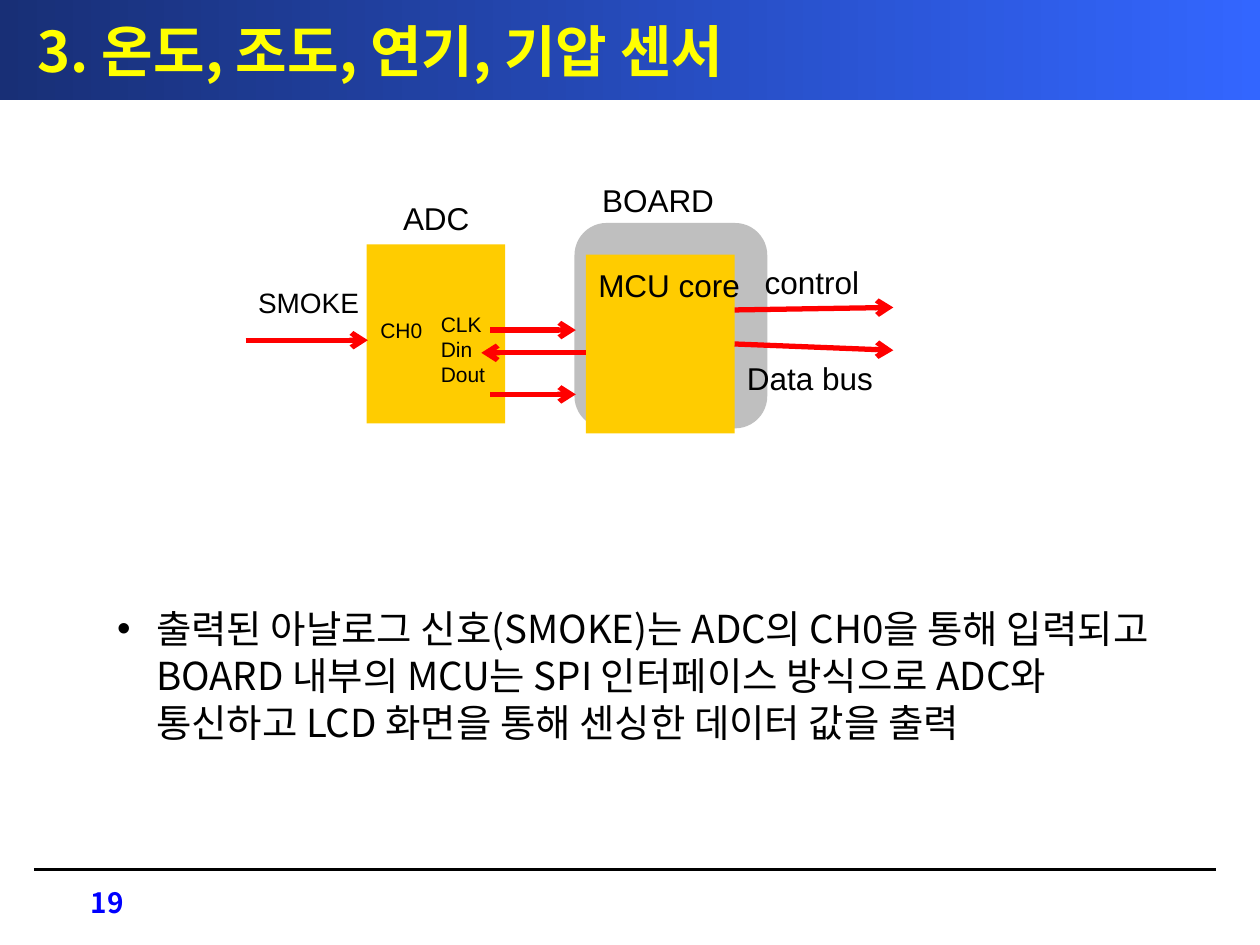
from lxml import etree
from pptx import Presentation
from pptx.dml.color import RGBColor
from pptx.enum.shapes import MSO_CONNECTOR, MSO_SHAPE
from pptx.enum.text import MSO_ANCHOR, MSO_AUTO_SIZE, PP_ALIGN
from pptx.oxml.ns import qn
from pptx.util import Inches, Pt

STRAIGHT = MSO_CONNECTOR.STRAIGHT
RECT, ROUNDED = MSO_SHAPE.RECTANGLE, MSO_SHAPE.ROUNDED_RECTANGLE
LEFT, RIGHT = PP_ALIGN.LEFT, PP_ALIGN.RIGHT
LATIN, KOREAN = "Arial", "Noto Sans CJK KR"
COLORS = {
    "navy": "182F76", "blue": "3366FF", "title": "FFFF00", "number": "0000FF",
    "board": "BFBFBF", "chip": "FFCC00", "signal": "FF0000", "text": "000000",
}

# Content
TITLE = "3. 온도, 조도, 연기, 기압 센서"
BODY = ("출력된 아날로그 신호(SMOKE)는 ADC의 CH0을 통해 입력되고 BOARD 내부의 MCU는 "
        "SPI 인터페이스 방식으로 ADC와 통신하고 LCD 화면을 통해 센싱한 데이터 값을 출력")
PAGE_NUMBER = "19"
BLOCKS = {  # name: (shape, colour, left, top, width, height)
    "board": (ROUNDED, "board", 4.56, 1.77, 1.53, 1.63),
    "mcu": (RECT, "chip", 4.65, 2.02, 1.18, 1.42),
    "adc": (RECT, "chip", 2.91, 1.94, 1.1, 1.42),
}
SIGNALS = [  # (from x, from y, to x, to y)
    (1.95, 2.7, 2.92, 2.7),    # smoke input
    (3.89, 2.62, 4.57, 2.62),  # clock
    (4.65, 2.8, 3.82, 2.8),    # data in
    (3.89, 3.13, 4.57, 3.13),  # data out
    (5.83, 2.46, 7.09, 2.44),  # control
]
DATA_BUS = (5.83, 2.73, 7.09, 2.78)
LABELS = [  # (text, size, left, top, width, height)
    ("SMOKE", 16, 1.95, 2.22, 1.15, 0.37),
    ("ADC", 18, 3.1, 1.53, 0.79, 0.4),
    ("CH0", 12, 2.92, 2.47, 0.79, 0.3),
    ("CLK Din Dout", 12, 3.4, 2.42, 0.68, 0.71),
    ("MCU core", 18, 4.65, 2.06, 2.05, 0.4),
    ("control", 18, 5.97, 2.04, 0.99, 0.4),
    ("Data bus", 18, 5.83, 2.8, 1.26, 0.4),
    ("BOARD", 18, 4.68, 1.39, 1.81, 0.4),
]


def color(name):
    return RGBColor.from_string(COLORS[name])


def place(shape, *bounds):
    shape.left, shape.top, shape.width, shape.height = map(Inches, bounds)


def write(shape, text, size, font, tint="text", bold=False, align=LEFT):
    frame = shape.text_frame
    frame.word_wrap = True
    frame.auto_size = MSO_AUTO_SIZE.NONE
    frame.text = text
    para = frame.paragraphs[0]
    para.alignment = align
    para.font.name, para.font.size, para.font.bold = font, Pt(size), bold
    para.font.color.rgb = color(tint)
    if font == KOREAN:
        for span in para.runs:
            span.font.name = font
            east_asian = etree.SubElement(span.font._element, qn("a:ea"))
            east_asian.set("typeface", font)
    return para


def add_line(page, ends, tint, width, arrow=False):
    line = page.shapes.add_connector(STRAIGHT, *map(Inches, ends))
    line.line.color.rgb = color(tint)
    line.line.width = Pt(width)
    if arrow:
        etree.SubElement(line.line._get_or_add_ln(), qn("a:tailEnd"), type="arrow")
    etree.SubElement(line._element.spPr, qn("a:effectLst"))
    return line


deck = Presentation()
deck.slide_width, deck.slide_height = Inches(10), Inches(7.5)
page = deck.slides.add_slide(deck.slide_layouts[1])

# Title band
title = page.shapes.title
place(title, 0, 0, 10, 0.79)
title.fill.gradient()
title.fill.gradient_angle = 0
for stop, name in zip(title.fill.gradient_stops, ("navy", "blue")):
    stop.color.rgb = color(name)
write(title, TITLE, 32, KOREAN, "title", bold=True)
title.text_frame.margin_left = Inches(0.3)
title.text_frame.vertical_anchor = MSO_ANCHOR.MIDDLE

# Footer
add_line(page, (0.27, 6.9, 9.65, 6.9), "text", 1.5)
number = page.shapes.add_textbox(*map(Inches, (0.51, 6.98, 0.57, 0.42)))
write(number, PAGE_NUMBER, 16, KOREAN, "number", bold=True, align=RIGHT)

# Block diagram
blocks = {}
for name, (kind, tint, *bounds) in BLOCKS.items():
    block = page.shapes.add_shape(kind, *map(Inches, bounds))
    block.shadow.inherit = False
    block.fill.solid()
    block.fill.fore_color.rgb = color(tint)
    block.line.fill.background()
    blocks[name] = block
for ends in SIGNALS:
    add_line(page, ends, "signal", 3, arrow=True)
data_bus = add_line(page, DATA_BUS, "signal", 3, arrow=True)
data_bus.begin_connect(blocks["mcu"], 3)
for text, size, *bounds in LABELS:
    write(page.shapes.add_textbox(*map(Inches, bounds)), text, size, LATIN)

# Explanation
body = page.placeholders[1]
place(body, 0.33, 4.3, 9.24, 3.11)
para = write(body, BODY, 22, KOREAN)
para.line_spacing = Pt(27)
para.space_before = Pt(0)
body.text_frame.margin_top = Inches(0.49)
body.text_frame.vertical_anchor = MSO_ANCHOR.TOP
properties = para._p.get_or_add_pPr()
properties.set("marL", str(Inches(0.81)))
properties.set("indent", str(Inches(-0.31)))

deck.save("out.pptx")
